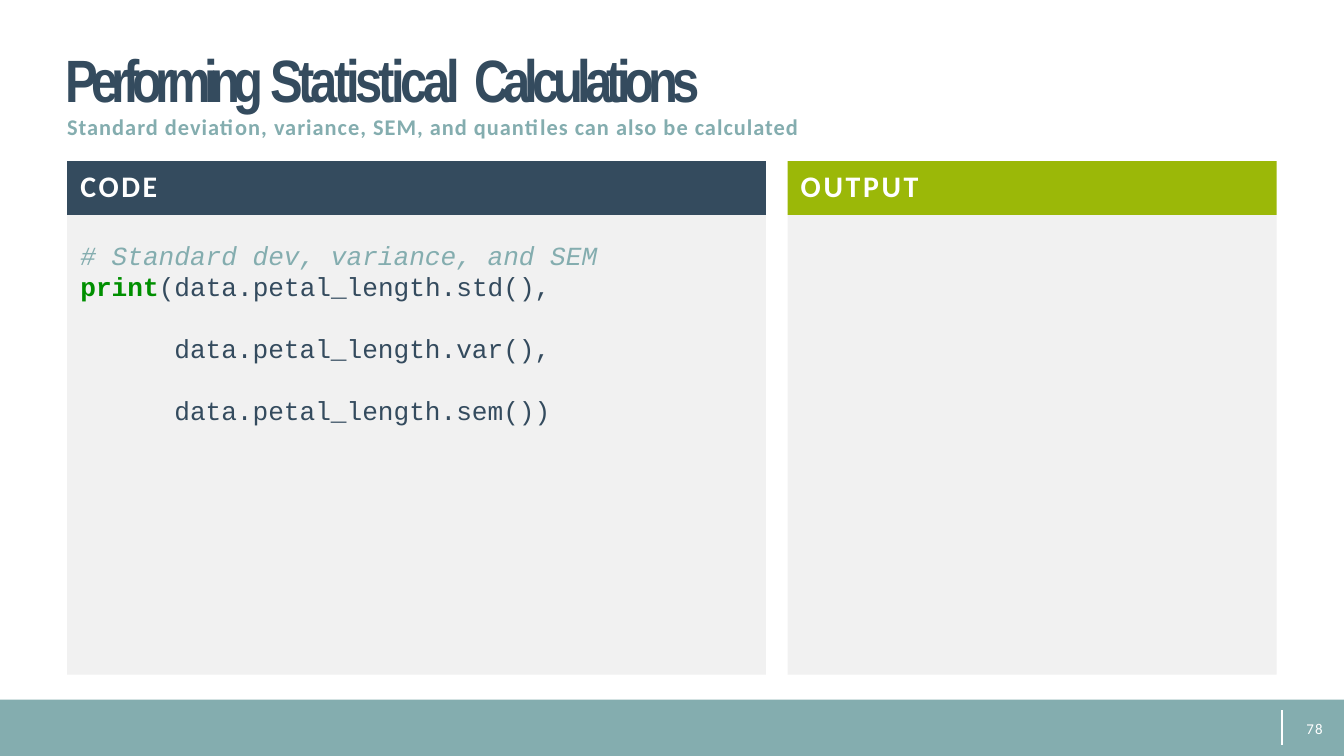
from dataclasses import dataclass

from lxml import etree
from pptx import Presentation
from pptx.dml.color import RGBColor
from pptx.enum.shapes import MSO_CONNECTOR, MSO_SHAPE
from pptx.enum.text import MSO_ANCHOR, MSO_AUTO_SIZE, PP_ALIGN
from pptx.oxml.ns import qn
from pptx.util import Inches, Pt

RECTANGLE = MSO_SHAPE.RECTANGLE
STRAIGHT = MSO_CONNECTOR.STRAIGHT
TOP = MSO_ANCHOR.TOP
LEFT = PP_ALIGN.LEFT
NO_AUTOFIT = MSO_AUTO_SIZE.NONE


@dataclass(frozen=True)
class Theme:
    navy: str = "344B5E"
    teal: str = "84ADAF"
    lime: str = "9BB808"
    keyword: str = "008F00"
    panel: str = "F1F1F1"
    white: str = "FFFFFF"
    title_font: str = "Arial Narrow"
    body_font: str = "Calibri"
    code_font: str = "Courier New"
    title_size: int = 32
    subtitle_size: int = 12
    heading_size: int = 16
    code_size: int = 14
    number_size: int = 8


THEME = Theme()

# Content: each piece is (text, letter spacing in points)
TITLE = [("Performing ", -3.8), ("Statistical", -2.2), (" ", -0.1),
         ("Calculations", -3.2)]
SUBTITLE = [("Standard deviation, variance, SEM, and quantiles can also be calculated",
             0.54)]
# Each line: (space before, [(text, colour, bold, italic)])
CODE = [
    (0, [("# Standard dev, variance, and SEM", THEME.teal, False, True)]),
    (0, [("print", THEME.keyword, True, False),
         ("(data.petal_length.std(),", THEME.navy, False, False)]),
    (16.4, [("      data.petal_length.var(),", THEME.navy, False, False)]),
    (16.4, [("      data.petal_length.sem())", THEME.navy, False, False)]),
]
# Each panel: (heading, heading fill, width, code lines)
PANELS = [("CODE", THEME.navy, 5.2, CODE), ("OUTPUT", THEME.lime, 3.64, [])]
PAGE_NUMBER = "78"

# Layout in inches
WIDTH = 10
HEIGHT = WIDTH * 9 / 16
MARGIN, GUTTER, INDENT = 0.5, 0.16, 0.1
PANEL_TOP, HEADING_HEIGHT, BODY_HEIGHT = 1.2, 0.4, 3.42
FOOTER_HEIGHT = 0.42
FOOTER_TOP = HEIGHT - FOOTER_HEIGHT


def prepare_frame(shape, left=0, top=0, wrap=True):
    frame = shape.text_frame
    frame.margin_left, frame.margin_top = Inches(left), Inches(top)
    frame.margin_right = frame.margin_bottom = 0
    frame.word_wrap = wrap
    frame.auto_size = NO_AUTOFIT
    frame.vertical_anchor = TOP
    return frame


def add_run(paragraph, text, font, size, color, bold=False, italic=False, spacing=0):
    paragraph.alignment = LEFT
    run = paragraph.add_run()
    run.text = text
    run.font.name, run.font.size = font, Pt(size)
    run.font.bold, run.font.italic = bold, italic
    run.font.color.rgb = RGBColor.from_string(color)
    run.font._element.set("spc", str(round(spacing * 100)))


def add_rectangle(slide, left, top, width, height, fill):
    shape = slide.shapes.add_shape(
        RECTANGLE, Inches(left), Inches(top), Inches(width), Inches(height))
    shape.shadow.inherit = False
    shape.fill.solid()
    shape.fill.fore_color.rgb = RGBColor.from_string(fill)
    shape.line.fill.background()
    return shape


def add_footer(slide):
    add_rectangle(slide, 0, FOOTER_TOP, WIDTH, FOOTER_HEIGHT, THEME.teal)
    divider = slide.shapes.add_connector(
        STRAIGHT, Inches(9.54), Inches(FOOTER_TOP + 0.08),
        Inches(9.54), Inches(HEIGHT - 0.08))
    divider.line.color.rgb = RGBColor.from_string(THEME.white)
    divider.line.width = Pt(0.72)
    etree.SubElement(divider._element.spPr, qn("a:effectLst"))
    number = slide.shapes.add_textbox(
        Inches(9.69), Inches(FOOTER_TOP + 0.13), Inches(0.19), Inches(0.18))
    frame = prepare_frame(number, 0.03, 0.02, wrap=False)
    add_run(frame.paragraphs[0], PAGE_NUMBER, THEME.body_font,
            THEME.number_size, THEME.white, spacing=0.7)


def add_title(slide):
    title = slide.shapes.title
    title.left, title.top = Inches(MARGIN - 0.02), Inches(0.31)
    title.width, title.height = Inches(5.56), Inches(0.74)
    frame = prepare_frame(title, 0.01, 0.02)
    rows = [
        (TITLE, THEME.title_font, THEME.title_size, THEME.navy, 37.6, 0),
        (SUBTITLE, THEME.body_font, THEME.subtitle_size, THEME.teal, 13.7, 0.01),
    ]
    for index, (pieces, font, size, color, line_height, indent) in enumerate(rows):
        paragraph = frame.add_paragraph() if index else frame.paragraphs[0]
        paragraph.line_spacing = Pt(line_height)
        paragraph.space_before = Pt(0)
        paragraph._p.get_or_add_pPr().set("marL", str(Inches(indent)))
        for text, spacing in pieces:
            add_run(paragraph, text, font, size, color, bold=True, spacing=spacing)


def add_panel(slide, left, heading, fill, width, lines):
    header = add_rectangle(slide, left, PANEL_TOP, width, HEADING_HEIGHT, fill)
    frame = prepare_frame(header, INDENT, 0.05)
    add_run(frame.paragraphs[0], heading, THEME.body_font,
            THEME.heading_size, THEME.white, bold=True, spacing=1.45)

    body = add_rectangle(slide, left, PANEL_TOP + HEADING_HEIGHT,
                         width, BODY_HEIGHT, THEME.panel)
    frame = prepare_frame(body, INDENT, 0.18)
    for index, (space_before, pieces) in enumerate(lines):
        paragraph = frame.add_paragraph() if index else frame.paragraphs[0]
        paragraph.space_before = Pt(space_before)
        for text, color, bold, italic in pieces:
            add_run(paragraph, text, THEME.code_font, THEME.code_size,
                    color, bold, italic, spacing=-0.04)


def main():
    presentation = Presentation()
    presentation.slide_width, presentation.slide_height = Inches(WIDTH), Inches(HEIGHT)
    slide = presentation.slides.add_slide(presentation.slide_layouts[5])
    add_footer(slide)
    add_title(slide)
    left = MARGIN
    for heading, fill, width, lines in PANELS:
        add_panel(slide, left, heading, fill, width, lines)
        left += width + GUTTER
    presentation.save("out.pptx")


if __name__ == "__main__":
    main()
